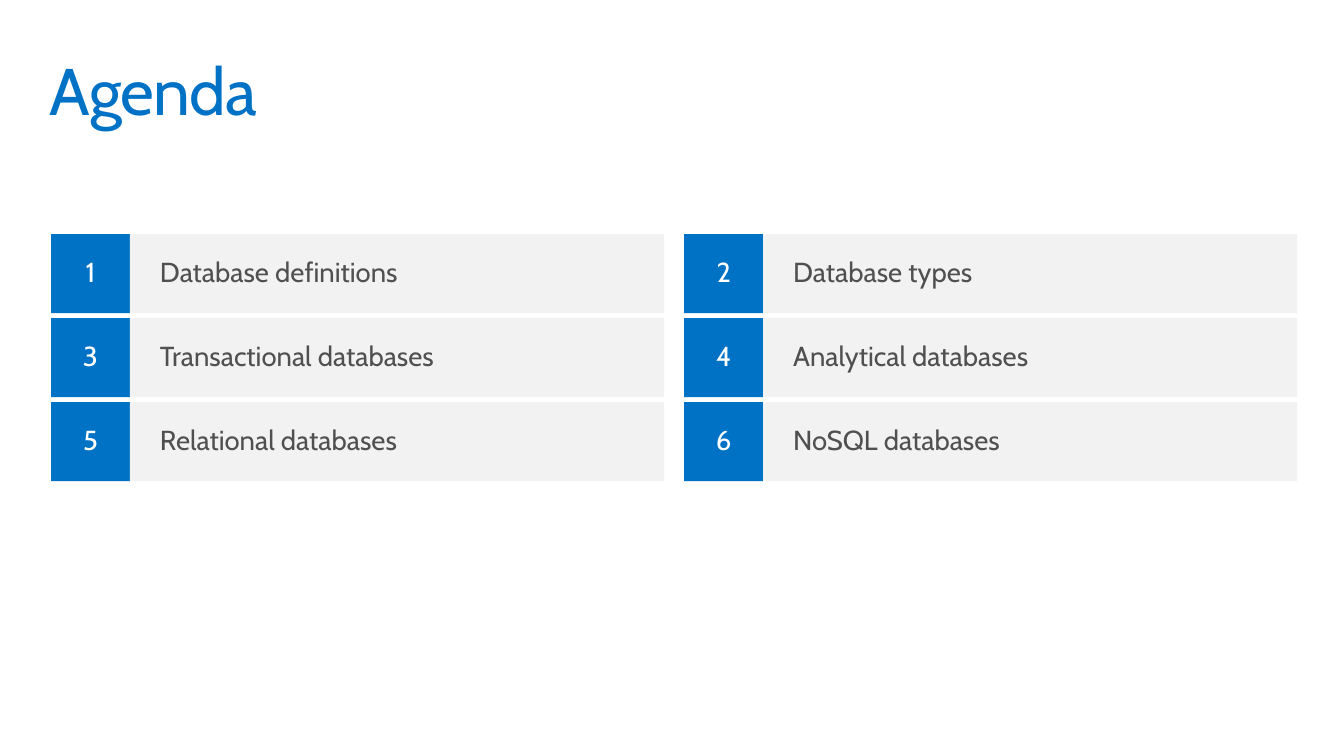
from dataclasses import dataclass

from pptx import Presentation
from pptx.dml.color import RGBColor
from pptx.enum.shapes import MSO_SHAPE
from pptx.enum.text import MSO_ANCHOR, PP_ALIGN
from pptx.util import Inches, Pt

EMU_PER_PIXEL = 914400 / 98.8


@dataclass(frozen=True)
class Theme:
    """Colours, font and type sizes of the slide."""
    accent: RGBColor = RGBColor(0x00, 0x72, 0xC6)
    panel: RGBColor = RGBColor(0xF2, 0xF2, 0xF2)
    body: RGBColor = RGBColor(0x50, 0x50, 0x50)
    white: RGBColor = RGBColor(0xFF, 0xFF, 0xFF)
    font: str = "Cabin"
    title_size: int = 48
    item_size: int = 20
    title_tracking: int = -70  # hundredths of a point
    item_line_spacing: float = 0.9


THEME = Theme()
TOPICS = [
    "Database definitions", "Database types",
    "Transactional databases", "Analytical databases",
    "Relational databases", "NoSQL databases",
]


def px(length):
    """Turn whole pixels into EMU."""
    return round(length * EMU_PER_PIXEL)


def write_text(shape, text, size, color, margins):
    """Set one line of text with its font and margins; return the paragraph."""
    frame = shape.text_frame
    frame.word_wrap = True
    horizontal, vertical = map(px, margins)
    frame.margin_left = frame.margin_right = horizontal
    frame.margin_top = frame.margin_bottom = vertical
    frame.text = text
    paragraph = frame.paragraphs[0]
    font = paragraph.runs[0].font
    font.name, font.size = THEME.font, Pt(size)
    font.color.rgb = color
    return paragraph


def add_title(slide, box, text):
    """Place the slide title in the given box."""
    shape = slide.shapes.add_textbox(*map(px, box))
    paragraph = write_text(shape, text, THEME.title_size, THEME.accent, (10, 10))
    paragraph.runs[0].font._element.set("spc", str(THEME.title_tracking))


def add_block(slide, box, text, fill, color, alignment, margins):
    """Place a filled rectangle with one line of text centred vertically."""
    shape = slide.shapes.add_shape(MSO_SHAPE.RECTANGLE, *map(px, box))
    shape.shadow.inherit = False
    shape.fill.solid()
    shape.fill.fore_color.rgb = fill
    shape.line.fill.background()
    shape.text_frame.vertical_anchor = MSO_ANCHOR.MIDDLE
    paragraph = write_text(shape, text, THEME.item_size, color, margins)
    paragraph.alignment = alignment
    paragraph.line_spacing = THEME.item_line_spacing


def add_agenda_item(slide, box, number, topic):
    """Place a square number badge and the topic panel beside it."""
    left, top, width, height = box
    add_block(slide, (left, top, height, height), str(number),
              THEME.accent, THEME.white, PP_ALIGN.CENTER, (20, 16))
    add_block(slide, (left + height, top, width - height, height), topic,
              THEME.panel, THEME.body, PP_ALIGN.LEFT, (30, 10))


def add_agenda(slide, box, topics, columns=2, column_gap=20, row_gap=5):
    """Number the topics row by row in an even grid that fills the box."""
    left, top, width, height = box
    rows = -(-len(topics) // columns)
    item_width = (width - (columns - 1) * column_gap) // columns
    item_height = (height - (rows - 1) * row_gap) // rows
    for index, topic in enumerate(topics):
        row, column = divmod(index, columns)
        item_box = (left + column * (item_width + column_gap),
                    top + row * (item_height + row_gap),
                    item_width, item_height)
        add_agenda_item(slide, item_box, index + 1, topic)


def build_agenda_slide(presentation):
    """Add the agenda slide on the blank layout."""
    slide = presentation.slides.add_slide(presentation.slide_layouts[6])
    add_title(slide, (40, 40, 1265, 99), "Agenda")
    add_agenda(slide, (51, 234, 1246, 247), TOPICS)


def main():
    """Build and save the presentation."""
    presentation = Presentation()
    presentation.slide_width = Inches(13.6)
    presentation.slide_height = Inches(7.65)
    build_agenda_slide(presentation)
    presentation.save("out.pptx")


main()
